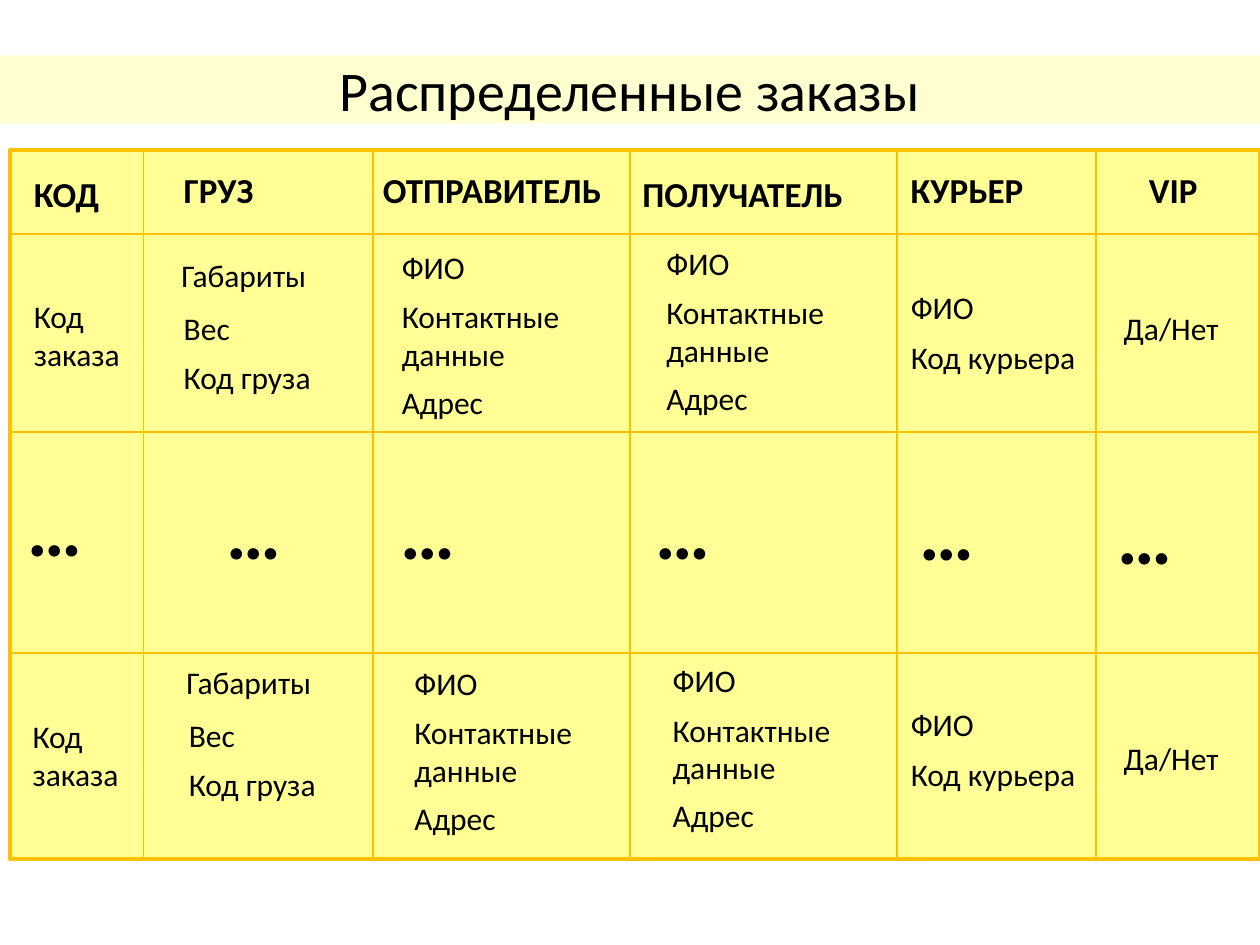
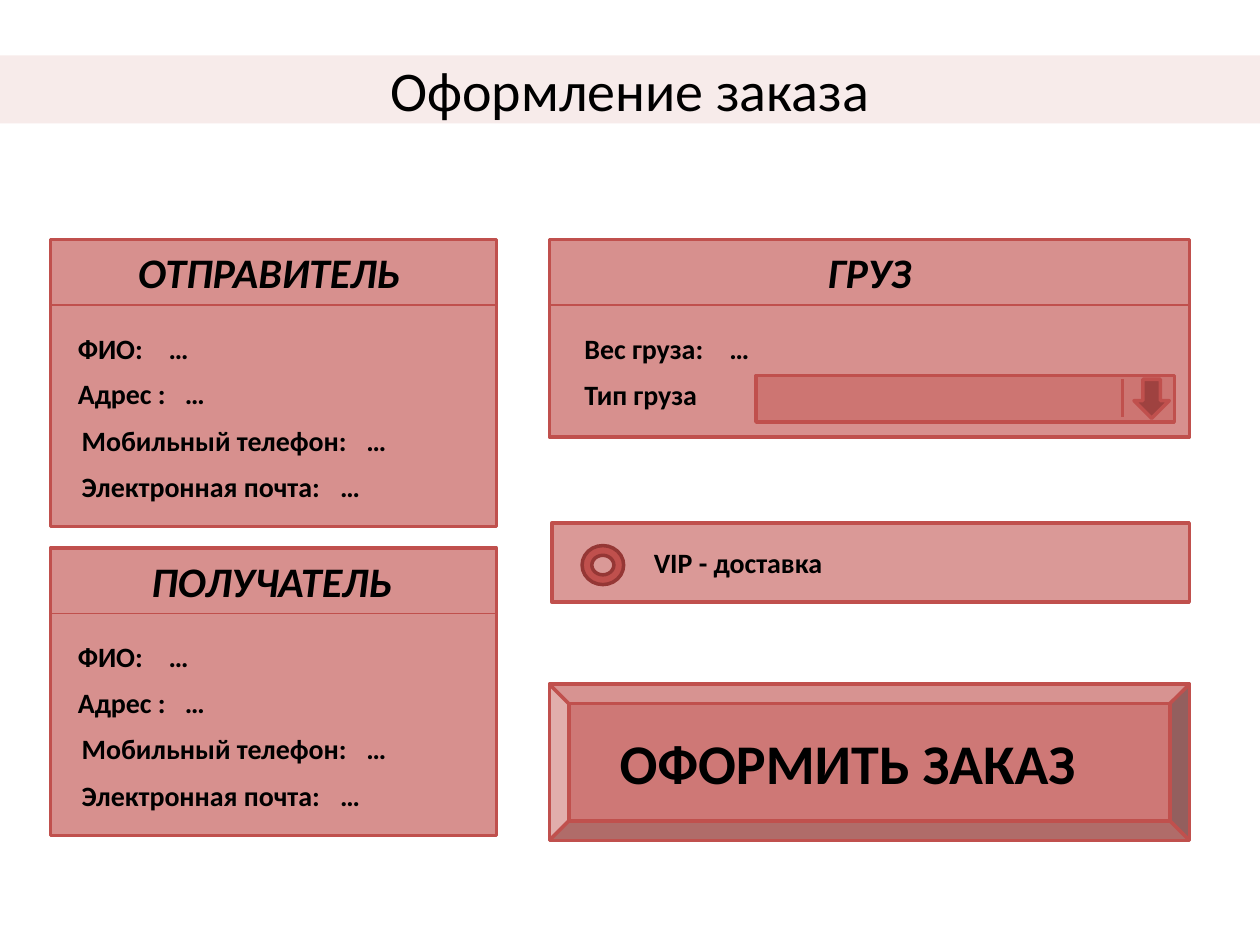
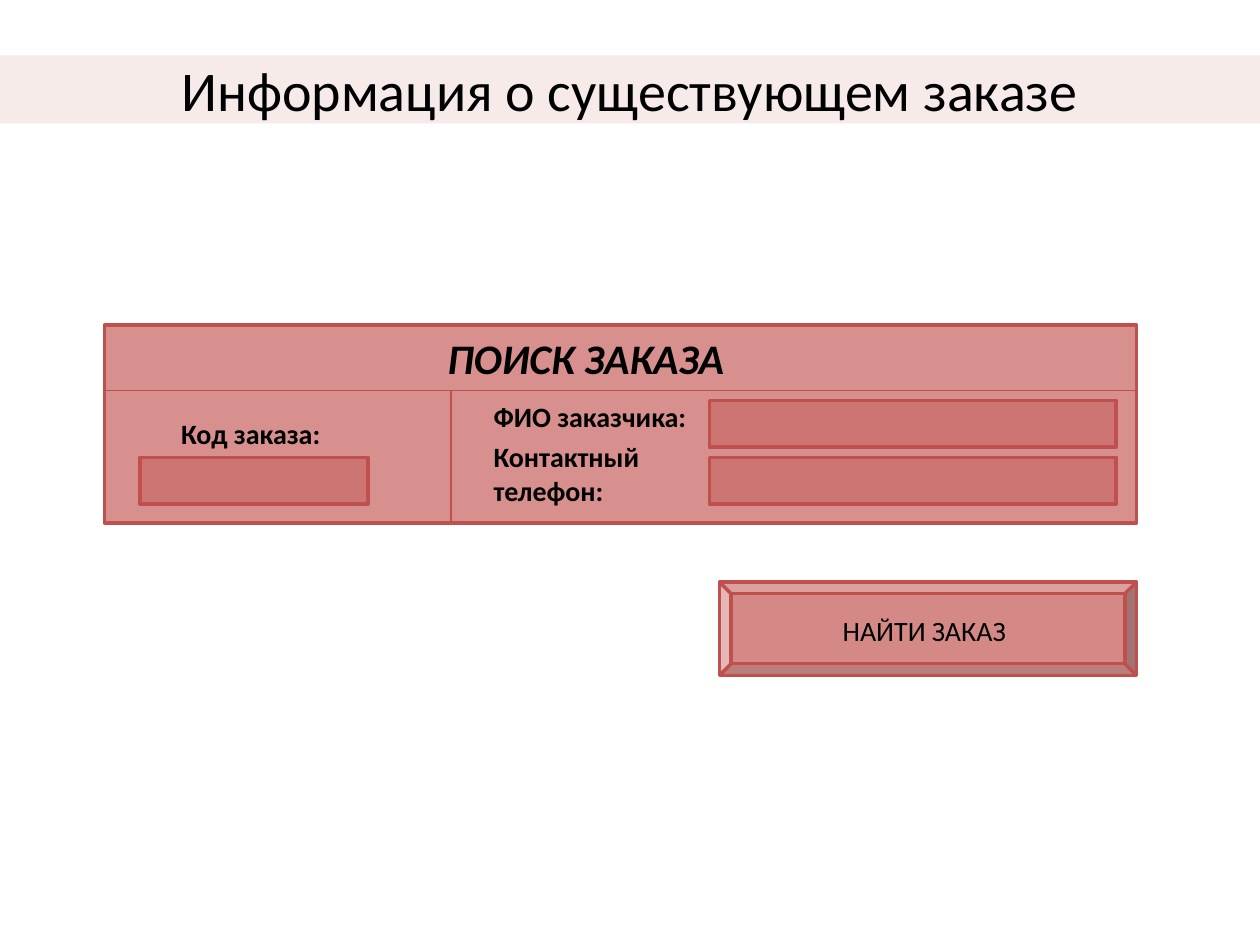
from lxml import etree
from pptx import Presentation, util as u
from pptx.dml.color import RGBColor
from pptx.enum import shapes, text
from pptx.oxml import ns

BLACK = RGBColor(0x00, 0x00, 0x00)
YELLOW = RGBColor(0xFF, 0xFF, 0x00)
AMBER = RGBColor(0xFF, 0xC0, 0x00)
PINK = RGBColor(0xD9, 0x96, 0x94)
RED = RGBColor(0xC0, 0x50, 0x4D)
DARK_RED = RGBColor(0x95, 0x37, 0x35)

FONT = "Calibri"
WIDTH, HEIGHT = u.Inches(10), u.Inches(7.5)
COLS, ROWS = 100, 75
ROWS_PER_POINT = ROWS / HEIGHT.pt
CENTER = text.PP_ALIGN.CENTER
SHAPE = shapes.MSO_SHAPE


def put_text(tf, content, size=18, bold=False, italic=False, align=None, tab=None):
    """Write one formatted paragraph; tab is a tab stop in columns."""
    p = tf.paragraphs[0]
    p.alignment = align
    r = p.add_run()
    r.text = content
    f = r.font
    f.name, f.size, f.bold, f.italic = FONT, u.Pt(size), bold, italic
    f.color.rgb = BLACK
    if tab:
        tabs = etree.SubElement(p._p.get_or_add_pPr(), ns.qn("a:tabLst"))
        etree.SubElement(tabs, ns.qn("a:tab"), pos=str(col(tab)), algn="l")


def col(x):
    return int(WIDTH * x / COLS)


def row(y):
    return int(HEIGHT * y / ROWS)


def place(x, y, w, h):
    return col(x), row(y), col(w), row(h)


class Deck:
    """Holds the presentation, its style and the current slide."""

    def __init__(self):
        self.prs = Presentation()
        self.prs.slide_width, self.prs.slide_height = WIDTH, HEIGHT

    def new_slide(self, title, band):
        self.s = self.prs.slides.add_slide(self.prs.slide_layouts[5])
        sp = self.s.shapes.title
        sp.left, sp.top, sp.width, sp.height = place(0, 4.4, COLS, 5.4)
        self.fill(sp, band, 19)
        tf = sp.text_frame
        tf.auto_size = text.MSO_AUTO_SIZE.NONE
        tf.vertical_anchor = text.MSO_ANCHOR.MIDDLE
        put_text(tf, title, size=32, align=CENTER)

    def fill(self, sp, color, opacity):
        """Fill a shape; opacity is in percent."""
        sp.fill.solid()
        sp.fill.fore_color.rgb = color
        if opacity < 100:
            rgb = sp.element.spPr.find(ns.qn("a:solidFill"))[0]
            etree.SubElement(rgb, ns.qn("a:alpha"), val=str(opacity * 1000))

    def shape(self, x, y, w, h, opacity, kind=SHAPE.RECTANGLE, color=RED, line=RED):
        sp = self.s.shapes.add_shape(kind, *place(x, y, w, h))
        sp.shadow.inherit = False
        self.fill(sp, color, opacity)
        sp.line.color.rgb = line
        sp.line.width = u.Pt(2)

    def line(self, x1, y1, x2, y2, color=RED, width=0.75):
        c = self.s.shapes.add_connector(
            shapes.MSO_CONNECTOR.STRAIGHT, col(x1), row(y1), col(x2), row(y2))
        c.line.color.rgb = color
        c.line.width = u.Pt(width)
        etree.SubElement(c.element.spPr, ns.qn("a:effectLst"))

    def text(self, content, x, y, w, size=18, lines=1, **fmt):
        """Add a text box just high enough for its lines."""
        h = lines * size * 1.2 * ROWS_PER_POINT + 1
        tf = self.s.shapes.add_textbox(*place(x, y, w, h)).text_frame
        tf.word_wrap = True
        tf.auto_size = text.MSO_AUTO_SIZE.SHAPE_TO_FIT_TEXT
        put_text(tf, content, size=size, **fmt)

    def label(self, content, x, y, w, **fmt):
        self.text(content, x, y, w, size=16, bold=True, **fmt)

    def panel(self, title, x, y, w, h, title_dx, title_w):
        """Add a box with a heading and a rule under it."""
        self.shape(x, y, w, h, 63)
        self.text(title, x + title_dx, y + 0.1, title_w, size=24,
                  bold=True, italic=True, align=CENTER)
        self.line(x, y + 5.2, x + w, y + 5.2)

    def input_box(self, x, y, w):
        self.shape(x, y, w, 3.7, 42)


# Cell lines: text, shift right, shift down, width, number of lines
PERSON = [("ФИО", 0, 0, 12.1, 1), ("Контактные данные", 0, 3.9, 16.1, 2),
          ("Адрес", 0, 10.7, 11.8, 1)]
CARGO = [("Габариты", 0, 0, 12.1, 1), ("Вес", 0.2, 4.2, 16.1, 1),
         ("Код груза", 0.2, 8.1, 14.1, 1)]
COURIER = [("ФИО", 0, 0, 12.1, 1), ("Код курьера", 0, 3.9, 16.1, 1)]
ORDER_CODE = [("Код заказа", 0, 0, 10.8, 2)]
VIP = [("Да/Нет", 0, 0, 11, 1)]

# Heading, its place and width, cell lines, their first and last places, dots
ORDER_COLUMNS = [
    ("КОД", (1.7, 13.2, 11.8), ORDER_CODE, (1.7, 23.1), (1.6, 56.4), (1.2, 37.6)),
    ("ГРУЗ", (13.6, 12.9, 11.8), CARGO, (13.4, 19.8), (13.8, 52.1), (17, 37.8)),
    ("ОТПРАВИТЕЛЬ", (29.4, 12.9, 19.8), PERSON, (30.9, 19.2), (31.9, 52.2), (30.8, 37.8)),
    ("ПОЛУЧАТЕЛЬ", (50, 13.2, 22), PERSON, (51.9, 18.9), (52.4, 52), (51, 37.8)),
    ("КУРЬЕР", (71.3, 12.9, 17.3), COURIER, (71.3, 22.4), (71.3, 55.5), (72, 37.9)),
    ("VIP", (90.2, 12.9, 9.4), VIP, (88.2, 24), (88.2, 58.2), (87.7, 38.2)),
]

# Contact fields: label, shift right, shift down, width, tab stop
CONTACT_FIELDS = [
    ("ФИО:", 1.2, 6.8, 21.7, 7.2),
    ("Адрес :", 1.2, 10.4, 26.6, 8.5),
    ("Мобильный телефон:", 1.5, 14.1, 26.8, 22.6),
    ("Электронная почта:", 1.5, 17.8, 26.8, 20.5),
]


def orders_slide(d):
    d.new_slide("Распределенные заказы", YELLOW)
    left, top, right, bottom = 0.8, 11.9, COLS, 68.2
    d.shape(left, top, right - left, bottom - top, 41, color=YELLOW, line=AMBER)
    for x in (11.4, 29.6, 50, 71.2, 87):
        d.line(x, top, x, bottom, AMBER, 1)
    for y in (18.6, 34.3, 51.8):
        d.line(left, y, right, y, AMBER, 1)
    for heading, heading_at, cell, first, last, dots in ORDER_COLUMNS:
        d.text(heading, *heading_at, size=20, bold=True)
        for x, y in (first, last):
            for content, dx, dy, w, lines in cell:
                d.text(content, x + dx, y + dy, w, lines=lines)
        d.text("…", *dots, 11.9, size=44, bold=True)


def new_order_slide(d):
    d.new_slide("Оформление заказа", PINK)
    for title, y, title_dx in (("ОТПРАВИТЕЛЬ", 19, 0.8), ("ПОЛУЧАТЕЛЬ", 43.5, 1)):
        d.panel(title, 4, y, 35.4, 22.8, title_dx, 33.1)
        for name, dx, dy, w, tab in CONTACT_FIELDS:
            d.label(name + "\t…", 4 + dx, y + dy, w, tab=tab)

    d.shape(43.8, 41.5, 50.6, 6.3, 58)
    d.shape(46.2, 43.3, 3.3, 3.1, 100, SHAPE.DONUT, line=DARK_RED)
    d.label("VIP - доставка", 50.9, 42.8, 24.8)

    d.panel("ГРУЗ", 43.6, 19, 50.8, 15.7, 0, 50.8)
    d.label("Вес груза:\t…", 45.4, 25.8, 21.7, tab=11.5)
    d.input_box(60, 29.8, 33.2)
    d.label("Тип груза", 45.4, 29.5, 26.6)
    d.shape(90, 30.1, 2.8, 3.1, 81, SHAPE.DOWN_ARROW, color=DARK_RED)
    d.line(89.1, 30.1, 89.1, 33.1, width=2)

    d.shape(43.6, 54.3, 50.8, 12.4, 77, SHAPE.BEVEL)
    d.text("ОФОРМИТЬ ЗАКАЗ", 48.2, 57.3, 40.9, size=32, bold=True)


def find_order_slide(d):
    d.new_slide("Информация о существующем заказе", PINK)
    d.panel("ПОИСК ЗАКАЗА", 8.3, 25.8, 81.9, 15.7, 12.8, 50.8)
    d.label("Код заказа: ", 11.1, 32.6, 18.1, align=CENTER)
    d.input_box(11.1, 36.3, 18.1)
    d.line(35.8, 31, 35.8, 41.5, width=1.5)
    d.label("ФИО заказчика:", 38.2, 31.2, 18.1)
    d.label("Контактный телефон:", 38.2, 34.4, 15.7, lines=2)
    for y in (31.8, 36.3):
        d.input_box(56.3, y, 32.3)
    d.shape(57.1, 46.2, 33.1, 7.4, 67, SHAPE.BEVEL)
    d.text("НАЙТИ ЗАКАЗ", 57.9, 48.2, 30.9, size=16, align=CENTER)


def main():
    d = Deck()
    orders_slide(d)
    new_order_slide(d)
    find_order_slide(d)
    d.prs.save("out.pptx")


if __name__ == "__main__":
    main()
